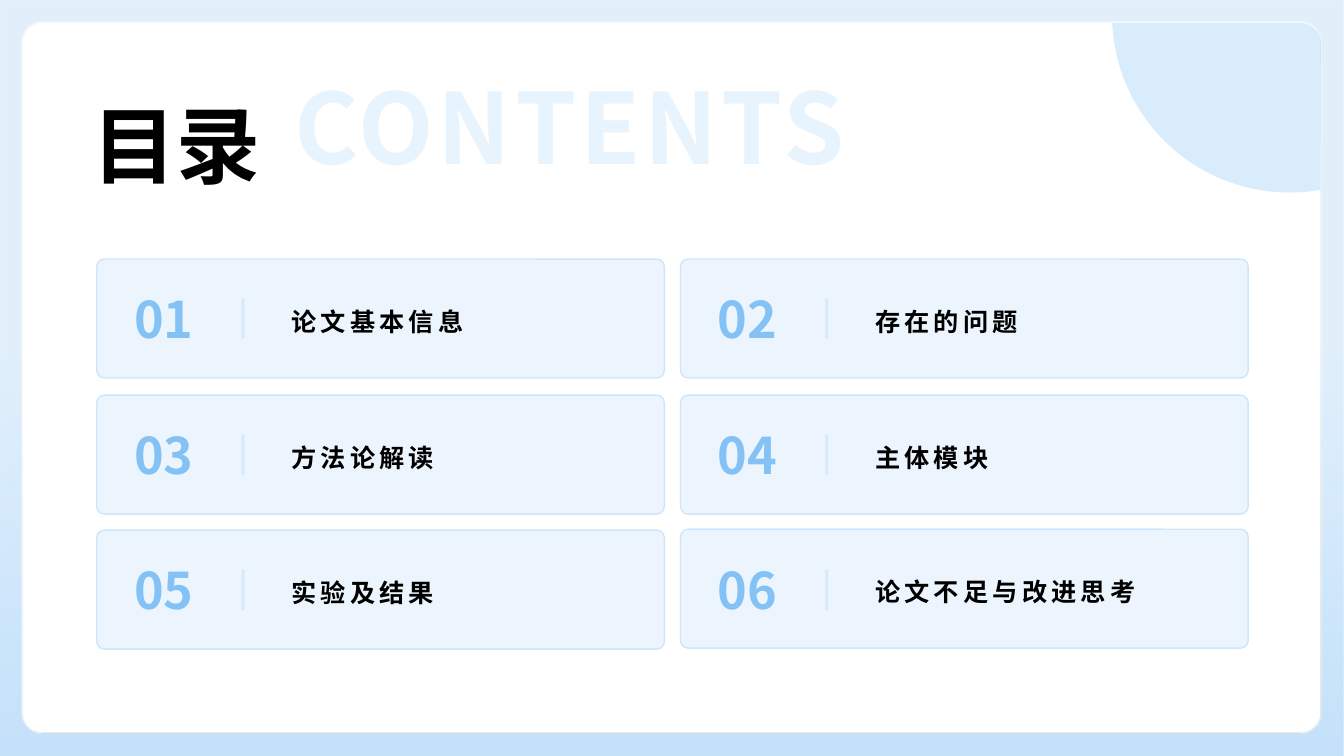
from math import cos, radians, sin

from pptx import Presentation
from pptx import util as u
from pptx.dml.color import RGBColor
from pptx.enum import shapes, text
from pptx.oxml.ns import qn

BLUE = RGBColor(0x84, 0xC1, 0xF4)
DEEP = RGBColor(0x1A, 0x48, 0xD8)
SKY = RGBColor(0xB5, 0xDA, 0xF8)
EDGE = RGBColor(0xCE, 0xE6, 0xFB)
PALE = RGBColor(0xE7, 0xF3, 0xFD)
BLACK = RGBColor(0, 0, 0)

LATIN = "Arial"
HAN = "Noto Sans CJK SC"

WIDE, HIGH = 13.33, 7.5
LEFT, TOP, RIGHT, BASE, ROUND = 0.23, 0.23, 13.1, 7.27, 0.2
COLS = (0.96, 6.75)
ROWS = (2.57, 3.92, 5.26)
CARD_W, CARD_H = 5.63, 1.18
TOPICS = ("论文基本信息", "存在的问题", "方法论解读",
          "主体模块", "实验及结果", "论文不足与改进思考")


def box(*sizes):
    return [u.Inches(size) for size in sizes]


def arc(x, y, radius, start, end, steps=24):
    angles = [radians(start + (end - start) * i / steps) for i in range(steps + 1)]
    return [(x + radius * cos(a), y + radius * sin(a)) for a in angles]


def fade(shape, *levels):
    for color, level in zip(shape._element.spPr.iter(qn("a:srgbClr")), levels):
        alpha = color.makeelement(qn("a:alpha"), {"val": str(level * 1000)})
        color.append(alpha)


def blend(fill, stops, angle):
    fill.gradient()
    fill.gradient_angle = angle
    for stop, (place, color) in zip(fill.gradient_stops, stops):
        stop.position = place
        stop.color.rgb = color


def outline(slide, *loops):
    build = None
    for loop in loops:
        points = [box(*point) for point in loop]
        if build is None:
            build = slide.shapes.build_freeform(*points[0], scale=1.0)
        else:
            build.move_to(*points[0])
        build.add_line_segments(points[1:], close=True)
    shape = build.convert_to_shape()
    shape.shadow.inherit = False
    shape.line.fill.background()
    return shape


def write(shape, words, size, color=None, font=HAN, gap=0, align=text.PP_ALIGN.LEFT,
          anchor=text.MSO_ANCHOR.MIDDLE, wrap=True, leading=None):
    frame = shape.text_frame
    frame.margin_left = frame.margin_right = frame.margin_top = frame.margin_bottom = 0
    frame.auto_size = text.MSO_AUTO_SIZE.NONE
    frame.vertical_anchor = anchor
    frame.word_wrap = wrap
    para = frame.paragraphs[0]
    para.alignment = align
    para.line_spacing = leading
    run = para.add_run()
    run.text = words
    run.font.size = u.Pt(size)
    run.font.bold = True
    if color is None:
        blend(run.font.fill, ((0.19, BLUE), (0.74, DEEP)), 315)
    else:
        run.font.color.rgb = color
    run.font.name = font
    props = run.font._element
    props.set("spc", str(round(gap * 100)))
    latin = props.find(qn("a:latin"))
    latin.addnext(props.makeelement(qn("a:ea"), {"typeface": HAN}))


def panel(slide, x, y):
    shape = slide.shapes.add_shape(
        shapes.MSO_SHAPE.ROUNDED_RECTANGLE, *box(x, y, CARD_W, CARD_H))
    shape.adjustments[0] = 0.064
    shape.shadow.inherit = False
    shape.fill.solid()
    shape.fill.fore_color.rgb = BLUE
    shape.line.color.rgb = EDGE
    shape.line.width = u.Pt(1)
    fade(shape, 15)


def rule(slide, x, top, base):
    line = slide.shapes.add_connector(
        shapes.MSO_CONNECTOR.STRAIGHT, *box(x, base, x, top))
    line.line.color.rgb = EDGE
    line.line.width = u.Pt(2)
    fade(line, 80)
    props = line._element.spPr
    props.append(props.makeelement(qn("a:effectLst"), {}))


def card(slide, x, y, number, topic, lift):
    panel(slide, x, y - lift)
    rule(slide, x + 1.45, y + 0.39, y + 0.79)
    label = slide.shapes.add_textbox(*box(x + 1.93, y - lift + 0.16, 3.53, 0.85))
    write(label, topic, 18, BLACK, gap=3, leading=1.2)
    count = slide.shapes.add_textbox(*box(x + 0.16, y, 1.01, CARD_H))
    write(count, f"{number:02}", 36, align=text.PP_ALIGN.CENTER, wrap=False)


def border(slide):
    near, far = LEFT + ROUND, RIGHT - ROUND
    high, low = TOP + ROUND, BASE - ROUND
    page = [(0, 0), (WIDE, 0), (WIDE, HIGH), (0, HIGH)]
    hole = (arc(near, high, ROUND, 270, 180) + arc(near, low, ROUND, 180, 90)
            + arc(far, low, ROUND, 90, 0) + arc(far, high, ROUND, 0, -90))
    rim = outline(slide, page, hole)
    blend(rim.fill, ((0.45, BLUE), (1, BLUE)), 270)
    fade(rim, 23, 48)
    disc = outline(slide, arc(12.79, 0.15, 1.76, 80, 177.4, 60)
                   + arc(far, high, ROUND, -90, 0))
    disc.fill.solid()
    disc.fill.fore_color.rgb = SKY
    fade(disc, 50)


def heading(slide):
    title = slide.shapes.title
    title.left, title.top, title.width, title.height = box(0.92, 0.84, 1.83, 1.18)
    write(title, "目录", 60, BLACK, font=LATIN)
    ghost = slide.shapes.add_textbox(*box(2.92, 0.66, 5.6, 1.41))
    write(ghost, "CONTENTS", 70, PALE, gap=2.8,
          anchor=text.MSO_ANCHOR.TOP, wrap=False)


def main():
    deck = Presentation()
    deck.slide_width, deck.slide_height = box(WIDE, HIGH)
    slide = deck.slides.add_slide(deck.slide_layouts[5])
    border(slide)
    heading(slide)
    for i, topic in enumerate(TOPICS):
        row, col = divmod(i, len(COLS))
        lift = 0.01 if i == len(TOPICS) - 1 else 0
        card(slide, COLS[col], ROWS[row], i + 1, topic, lift)
    deck.save("out.pptx")


if __name__ == "__main__":
    main()
